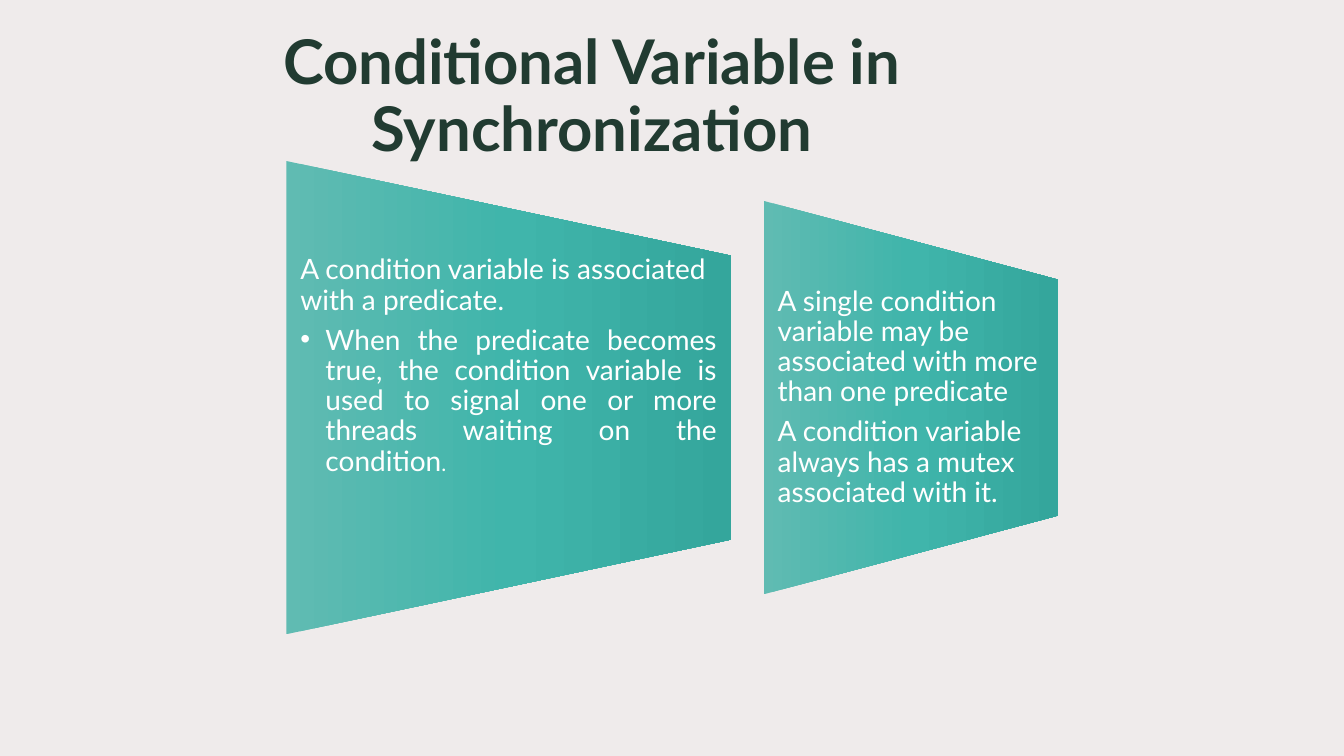
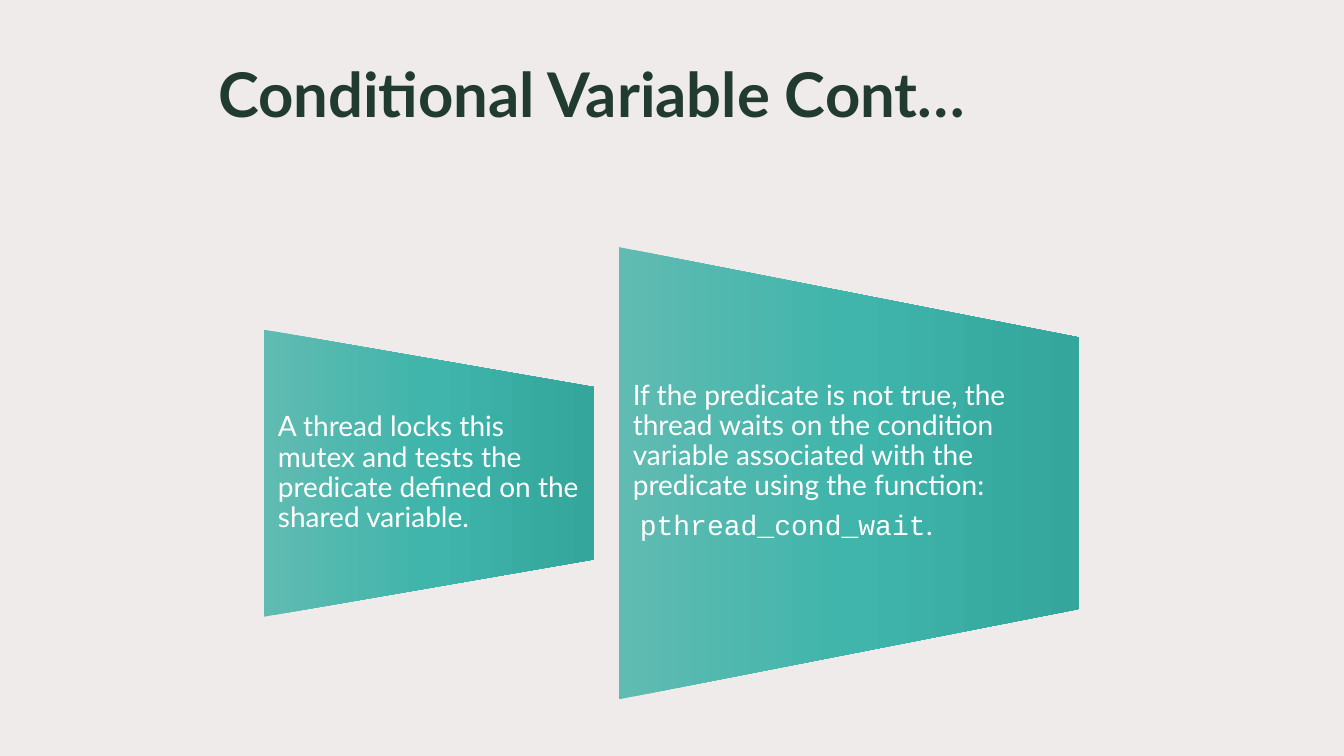
from copy import deepcopy

from lxml import etree
from pptx import Presentation
from pptx.dml.color import RGBColor
from pptx.enum import shapes, text
from pptx.oxml import ns
from pptx.util import Pt

COLORS = {
    "background": "EFEBEB",
    "title": "213B31",
    "body": "FFFFFF",
    "panel_light": "60BBB2",
    "panel_mid": "40B5AB",
    "panel_dark": "34A69C",
}
PANEL_STOPS = ((0, "panel_light"), (0.5, "panel_mid"), (1, "panel_dark"))
TWO_CONTENT = 3


def rgb(name):
    return RGBColor.from_string(COLORS[name])


class Deck:
    font = "Lato"
    code_font = "Courier New"
    title_size = 44
    body_size = 20
    line_spacing = 0.9
    inset = 10

    def __init__(self):
        self.presentation = Presentation()
        self.presentation.slide_width = Pt(960)
        self.presentation.slide_height = Pt(540)
        background = self.presentation.slide_master.background.fill
        background.solid()
        background.fore_color.rgb = rgb("background")

    def add_slide(self, heading):
        layout = self.presentation.slide_layouts[TWO_CONTENT]
        self.slide = self.presentation.slides.add_slide(layout)
        title = self.slide.shapes.title
        self.place(title, 134, 0, 578, 140)
        frame = title.text_frame
        frame.text = heading
        frame.auto_size = text.MSO_AUTO_SIZE.NONE
        frame.vertical_anchor = text.MSO_ANCHOR.MIDDLE
        paragraph = frame.paragraphs[0]
        paragraph.alignment = text.PP_ALIGN.CENTER
        paragraph.line_spacing = self.line_spacing
        self.style_run(paragraph.runs[0], "title", self.title_size, bold=True)

    def place(self, shape, left, top, width, height):
        shape.left, shape.top = Pt(left), Pt(top)
        shape.width, shape.height = Pt(width), Pt(height)

    def style_run(self, run, color, size, font=None, bold=False):
        run.font.name = font or self.font
        run.font.size = Pt(size)
        run.font.bold = bold
        run.font.color.rgb = rgb(color)

    def trapezoid(self, left, middle, width, height):
        center = left + width / 2
        panel = self.slide.shapes.add_shape(
            shapes.MSO_SHAPE.FLOWCHART_MANUAL_OPERATION,
            Pt(center - height / 2), Pt(middle - width / 2), Pt(height), Pt(width))
        panel.rotation = 270
        panel.shadow.inherit = False
        panel.line.fill.background()
        panel.fill.gradient()
        panel.fill.gradient_angle = 270
        first_stop = panel.element.spPr.find(".//" + ns.qn("a:gs"))
        first_stop.addnext(deepcopy(first_stop))
        for stop, (position, color) in zip(panel.fill.gradient_stops, PANEL_STOPS):
            stop.position = position
            stop.color.rgb = rgb(color)
        return panel

    def panel(self, index, left, middle, width, height, paragraphs,
              anchor=text.MSO_ANCHOR.MIDDLE, top_inset=0):
        body = self.slide.placeholders[index]
        body.element.addprevious(self.trapezoid(left, middle, width, height).element)
        text_height = height * 3 / 5
        self.place(body, left, middle - text_height / 2, width, text_height)
        frame = body.text_frame
        frame.auto_size = text.MSO_AUTO_SIZE.NONE
        frame.word_wrap = True
        frame.vertical_anchor = anchor
        frame.margin_left = frame.margin_right = Pt(self.inset)
        frame.margin_top, frame.margin_bottom = Pt(top_inset), 0
        for number, (runs, options) in enumerate(paragraphs):
            paragraph = frame.add_paragraph() if number else frame.paragraphs[0]
            self.fill_paragraph(paragraph, runs, **options)

    def fill_paragraph(self, paragraph, runs, bullet=False, indent=0):
        properties = paragraph._p.get_or_add_pPr()
        hanging = 18 if bullet else 0
        properties.set("marL", str(Pt(indent + hanging)))
        properties.set("indent", str(-Pt(hanging)))
        if bullet:
            paragraph.level = 1
            paragraph.alignment = text.PP_ALIGN.JUSTIFY
            etree.SubElement(properties, ns.qn("a:buChar"), char="•")
        else:
            paragraph.alignment = text.PP_ALIGN.LEFT
            etree.SubElement(properties, ns.qn("a:buNone"))
        paragraph.line_spacing = self.line_spacing
        paragraph.space_before = Pt(0)
        paragraph.space_after = Pt(3 if bullet else 7)
        for wording, size, font in runs:
            run = paragraph.add_run()
            run.text = wording
            self.style_run(run, "body", size, font)

    def plain(self, wording):
        return [(wording, self.body_size, self.font)], {}

    def bullet(self, wording, ending, ending_size):
        runs = [(wording, self.body_size, self.font), (ending, ending_size, self.font)]
        return runs, {"bullet": True}

    def code(self, name, ending):
        runs = [(name, self.body_size, self.code_font), (ending, self.body_size, self.font)]
        return runs, {"indent": 5}


def main():
    deck = Deck()

    deck.add_slide("Conditional Variable in Synchronization")
    deck.panel(1, 204.5, 284, 317.5, 338, [
        deck.plain("A condition variable is associated with a predicate."),
        deck.bullet("When the predicate becomes true, the condition variable is used "
                    "to signal one or more threads waiting on the condition", ".", 15),
    ], anchor=text.MSO_ANCHOR.TOP)
    deck.panel(2, 545.5, 284, 210, 281, [
        deck.plain("A single condition variable may be associated with more than one predicate"),
        deck.plain("A condition variable always has a mutex associated with it."),
    ])

    deck.add_slide("Conditional Variable Cont…")
    deck.panel(1, 188.5, 338, 236, 205, [
        deck.plain("A thread locks this mutex and tests the predicate defined on the shared variable."),
    ])
    deck.panel(2, 442, 338, 329, 323, [
        deck.plain("If the predicate is not true, the thread waits on the condition variable "
                   "associated with the predicate using the function:"),
        deck.code("pthread_cond_wait", "."),
    ], anchor=text.MSO_ANCHOR.TOP, top_inset=31)

    deck.presentation.save("out.pptx")


if __name__ == "__main__":
    main()
